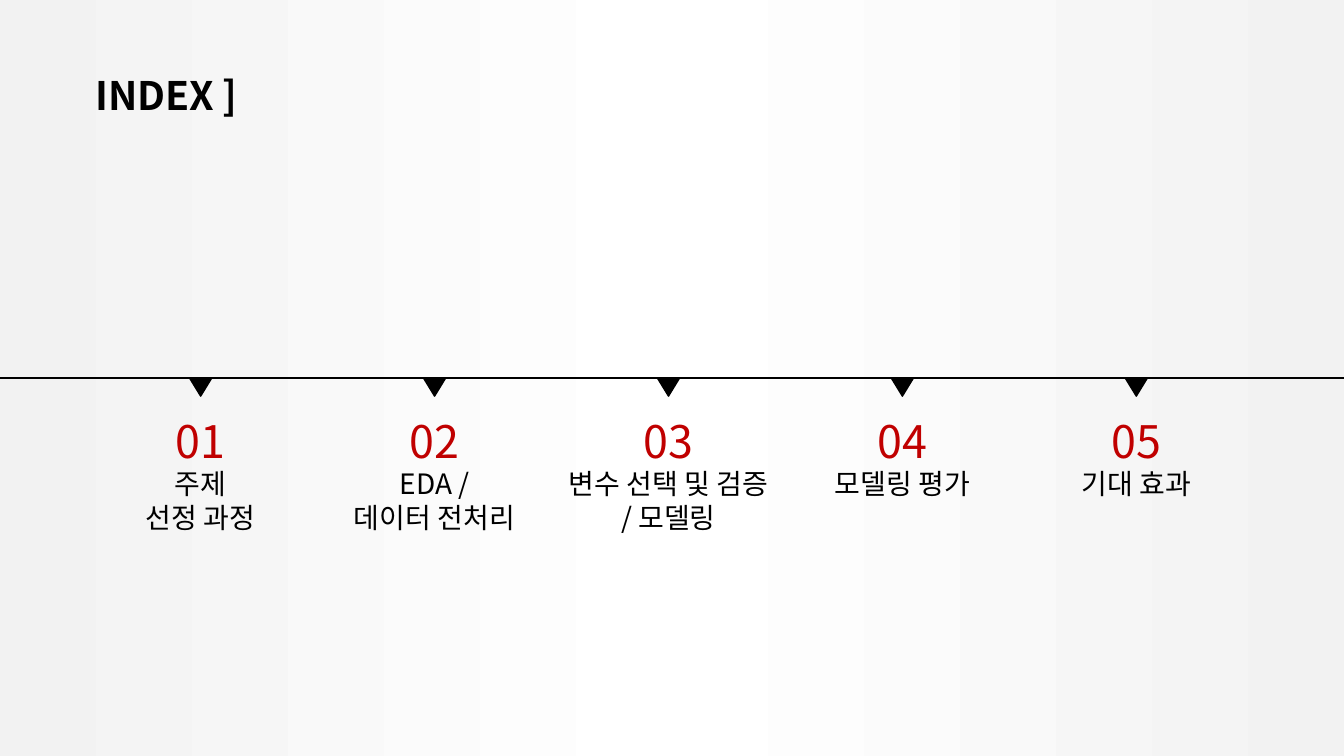
from copy import deepcopy

from lxml import etree
from pptx import Presentation
from pptx.dml.color import RGBColor
from pptx.enum.shapes import MSO_CONNECTOR, MSO_SHAPE
from pptx.enum.text import MSO_ANCHOR, MSO_AUTO_SIZE, PP_ALIGN
from pptx.oxml.ns import qn
from pptx.util import Inches, Pt

STRAIGHT = MSO_CONNECTOR.STRAIGHT
TRIANGLE = MSO_SHAPE.ISOSCELES_TRIANGLE
TOP = MSO_ANCHOR.TOP
CENTER = PP_ALIGN.CENTER
FIT_SHAPE = MSO_AUTO_SIZE.SHAPE_TO_FIT_TEXT

TITLE_ONLY = 5
WIDTH, HEIGHT = 13.33, 7.5
TIMELINE_Y = HEIGHT / 2
FIRST_X, STEP = 1.99, 2.32
TEXT_WIDTH = 3.42

CHAPTERS = [
    ("01", ["주제", "선정 과정"]),
    ("02", ["EDA /", "데이터 전처리"]),
    ("03", ["변수 선택 및 검증", "/ 모델링"]),
    ("04", ["모델링 평가"]),
    ("05", ["기대 효과"]),
]


def color(value):
    return RGBColor.from_string(value)


def write(paragraph, text, size=20, fill="000000", bold=False, font="Noto Sans CJK KR"):
    paragraph.alignment = CENTER
    run = paragraph.add_run()
    run.text = text
    run.font.name = font
    run.font.size = Pt(size)
    run.font.bold = bold
    run.font.color.rgb = color(fill)
    east_asian = etree.SubElement(run.font._element, qn("a:ea"))
    east_asian.set("typeface", font)


class IndexSlide:
    ink = "000000"
    accent = "C00000"

    def __init__(self, presentation):
        layout = presentation.slide_layouts[TITLE_ONLY]
        self.slide = presentation.slides.add_slide(layout)
        self.shapes = self.slide.shapes

    def background(self, edge, middle):
        fill = self.slide.background.fill
        fill.gradient()
        fill.gradient_angle = 180
        first = fill.gradient_stops[0]._gs
        first.addnext(deepcopy(first))
        for stop, position, value in zip(fill.gradient_stops, (0, 0.5, 1), (edge, middle, edge)):
            stop.position = position
            stop.color.rgb = color(value)

    def frame(self, shape):
        frame = shape.text_frame
        frame.word_wrap = True
        frame.auto_size = FIT_SHAPE
        frame.vertical_anchor = TOP
        return frame

    def title(self, text, left, top, width, height):
        title = self.shapes.title
        title.left, title.top = Inches(left), Inches(top)
        title.width, title.height = Inches(width), Inches(height)
        write(self.frame(title).paragraphs[0], text, size=28, fill=self.ink, bold=True)

    def line(self, y):
        line = self.shapes.add_connector(STRAIGHT, 0, Inches(y), Inches(WIDTH), Inches(y))
        line.line.color.rgb = color(self.ink)
        line.line.width = Pt(1.5)
        etree.SubElement(line._element.spPr, qn("a:effectLst"))

    def marker(self, center, top, width=0.22, height=0.18):
        marker = self.shapes.add_shape(
            TRIANGLE, Inches(center - width / 2), Inches(top), Inches(width), Inches(height))
        marker.rotation = 180
        marker.shadow.inherit = False
        marker.fill.solid()
        marker.fill.fore_color.rgb = color(self.ink)
        marker.line.color.rgb = color(self.ink)
        marker.line.width = Pt(1)

    def chapter(self, number, lines, center, top):
        height = 0.64 + 0.335 * len(lines)
        box = self.shapes.add_textbox(
            Inches(center - TEXT_WIDTH / 2), Inches(top), Inches(TEXT_WIDTH), Inches(height))
        frame = self.frame(box)
        write(frame.paragraphs[0], number, size=32, fill=self.accent)
        for text in lines:
            write(frame.add_paragraph(), text, fill=self.ink)


def main():
    presentation = Presentation()
    presentation.slide_width = Inches(WIDTH)
    presentation.slide_height = Inches(HEIGHT)
    index = IndexSlide(presentation)

    # Background and heading
    index.background("F2F2F2", "FFFFFF")
    index.title("INDEX ]", -0.06, 0.66, TEXT_WIDTH, 0.57)

    # Timeline with its chapters
    index.line(TIMELINE_Y)
    for position, (number, lines) in enumerate(CHAPTERS):
        center = FIRST_X + position * STEP
        index.marker(center, TIMELINE_Y)
        index.chapter(number, lines, center, 4.05)

    presentation.save("out.pptx")


if __name__ == "__main__":
    main()
